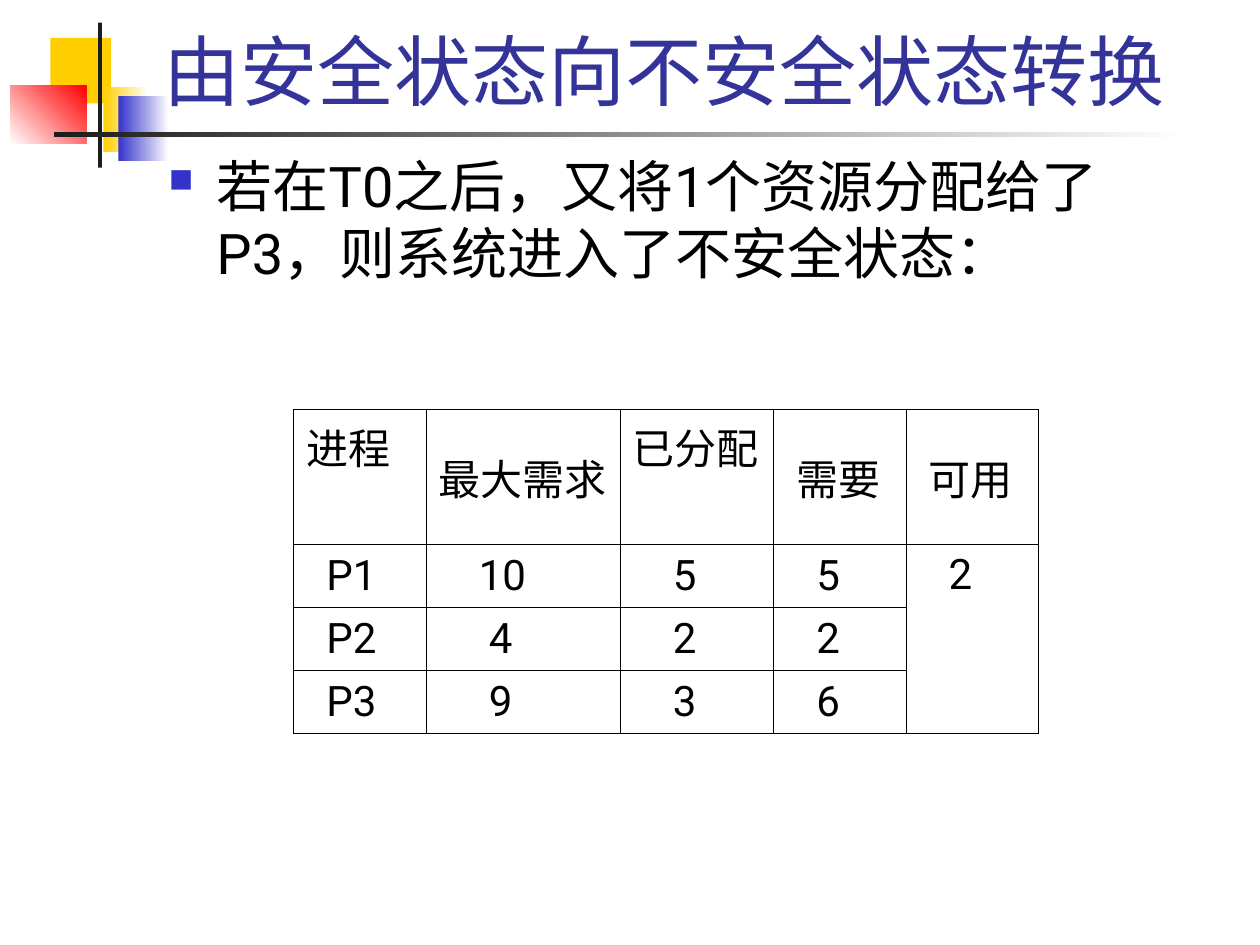
import pptx
import pptx.dml.color
import pptx.enum.shapes
import pptx.enum.text
import pptx.oxml
import pptx.oxml.ns
import pptx.util
from pptx.util import Inches

COLORS = {
    "yellow": "FFCF01", "blue": "3333CC", "red": "FF0000", "dark": "1C1C1C",
    "white": "FFFFFF", "title": "333399", "black": "000000",
}
FONT = "Roboto"
SPACE_WIDTH = 0.08


def rgb(name):
    return pptx.dml.color.RGBColor.from_string(COLORS[name])


def add_span(para, text, size, color):
    span = para.add_run()
    span.text = text
    span.font.name = FONT
    span.font.size = pptx.util.Pt(size)
    span.font.color.rgb = rgb(color)


deck = pptx.Presentation()
deck.slide_width, deck.slide_height = Inches(10), Inches(7.5)
page = deck.slides.add_slide(deck.slide_layouts[6])

decorations = [
    (0.4, 0.3, 0.48, 0.52, ["yellow"], 0),
    (0.82, 0.69, 0.36, 0.52, ["yellow", "white"], 0),
    (0.94, 0.76, 0.4, 0.52, ["blue", "white"], 0),
    (0.08, 0.68, 0.61, 0.46, ["white", "red"], 45),
    (0.78, 0.18, 0.03, 1.15, ["dark"], 0),
    (0.43, 1.05, 9, 0.04, ["dark", "white"], 0),
]
for left, top, width, height, tones, angle in decorations:
    block = page.shapes.add_shape(
        pptx.enum.shapes.MSO_SHAPE.RECTANGLE,
        Inches(left), Inches(top), Inches(width), Inches(height))
    block.shadow.inherit = False
    block.line.fill.background()
    if len(tones) == 1:
        block.fill.solid()
        block.fill.fore_color.rgb = rgb(tones[0])
    else:
        block.fill.gradient()
        block.fill.gradient_angle = angle
        for stop, tone, position in zip(block.fill.gradient_stops, tones, (0, 1)):
            stop.color.rgb = rgb(tone)
            stop.position = position

title_box = page.shapes.add_textbox(Inches(1.2), Inches(0.17), Inches(8.52), Inches(0.8))
title_box.text_frame.word_wrap = True
title_box.text_frame.vertical_anchor = pptx.enum.text.MSO_ANCHOR.BOTTOM
add_span(title_box.text_frame.paragraphs[0], "由安全状态向不安全状态转换", 44, "title")

body_box = page.shapes.add_textbox(Inches(1.24), Inches(1.15), Inches(8.5), Inches(1.54))
body_box.text_frame.word_wrap = True
body_para = body_box.text_frame.paragraphs[0]
properties = body_para._p.get_or_add_pPr()
properties.set("marL", str(Inches(0.38)))
properties.set("indent", str(-Inches(0.38)))
namespace = pptx.oxml.ns.nsdecls("a")
for bullet in (
    f'<a:buClr {namespace}><a:srgbClr val="{COLORS["blue"]}"/></a:buClr>',
    f'<a:buSzPct {namespace} val="60000"/>',
    f'<a:buChar {namespace} char="■"/>',
):
    properties.append(pptx.oxml.parse_xml(bullet))
add_span(body_para, "若在T0之后，又将1个资源分配给了P3，则系统进入了不安全状态：", 32, "black")

rows = [
    [("进程", 0), ("最大需求", 0), ("已分配", 0), ("需要", 1), ("可用", 1)],
    [("P1", 2), ("10", 4), ("5", 4), ("5", 3), ("2", 3)],
    [("P2", 2), ("4", 5), ("2", 4), ("2", 3), ("", 0)],
    [("P3", 2), ("9", 5), ("3", 4), ("6", 3), ("", 0)],
]
top_aligned = {(0, 0), (0, 2), (1, 4)}
table = page.shapes.add_table(
    4, 5, Inches(2.33), Inches(3.25), Inches(5.91), Inches(2.57)).table
table.first_row = False
table.horz_banding = False
for column, width in zip(table.columns, (1.05, 1.54, 1.22, 1.05, 1.05)):
    column.width = Inches(width)
for row, height in zip(table.rows, (1.07, 0.5, 0.5, 0.5)):
    row.height = Inches(height)
table.cell(1, 4).merge(table.cell(3, 4))

for row_index, row in enumerate(rows):
    for column_index, (text, spaces) in enumerate(row):
        cell = table.cell(row_index, column_index)
        cell_properties = cell._tc.get_or_add_tcPr()
        for side in ("lnL", "lnR", "lnT", "lnB"):
            cell_properties.append(pptx.oxml.parse_xml(
                f'<a:{side} {namespace} w="{pptx.util.Pt(0.45)}"><a:solidFill>'
                f'<a:srgbClr val="{COLORS["black"]}"/></a:solidFill></a:{side}>'))
        cell.fill.background()
        cell.margin_left = Inches(0.1 + SPACE_WIDTH * spaces)
        cell.margin_right = Inches(0.1 if spaces else 0.05)
        cell.margin_top = cell.margin_bottom = Inches(0.05)
        if (row_index, column_index) in top_aligned:
            cell.vertical_anchor = pptx.enum.text.MSO_ANCHOR.TOP
        else:
            cell.vertical_anchor = pptx.enum.text.MSO_ANCHOR.MIDDLE
        if text:
            add_span(cell.text_frame.paragraphs[0], text, 24, "black")

deck.save("out.pptx")
